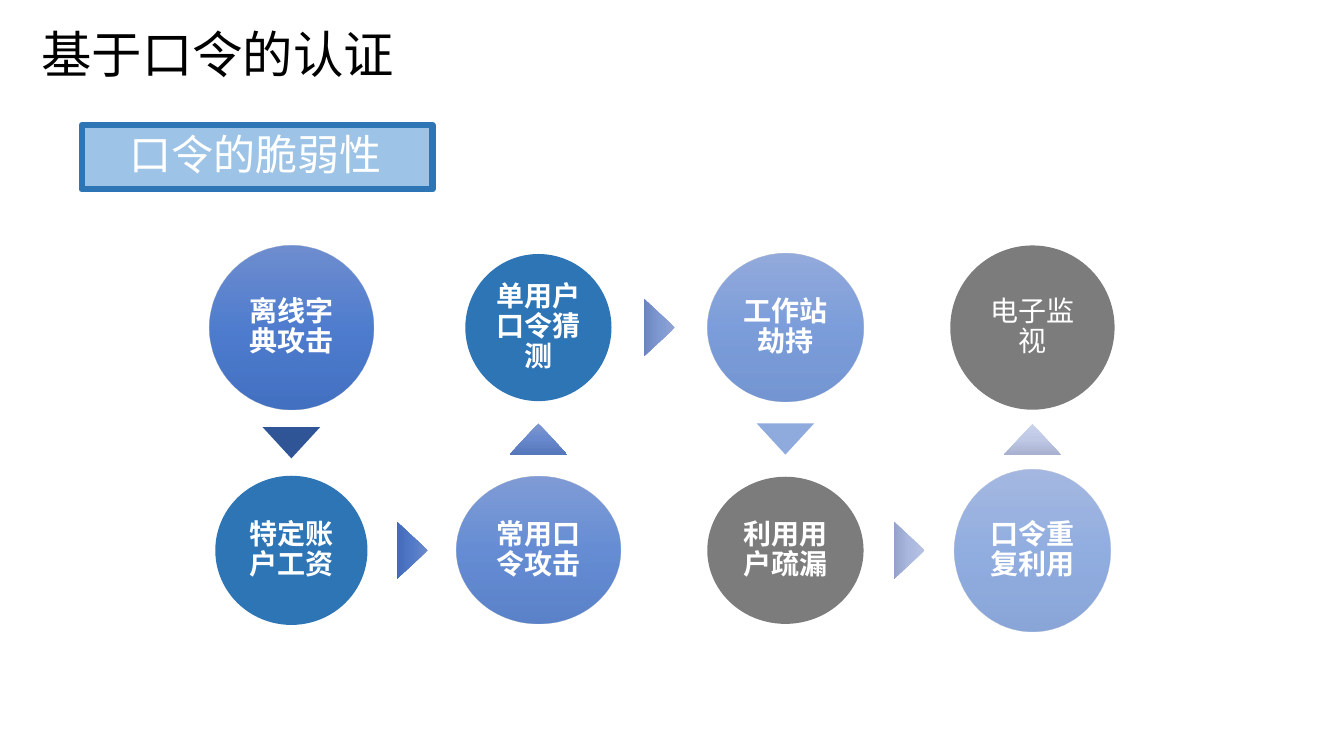
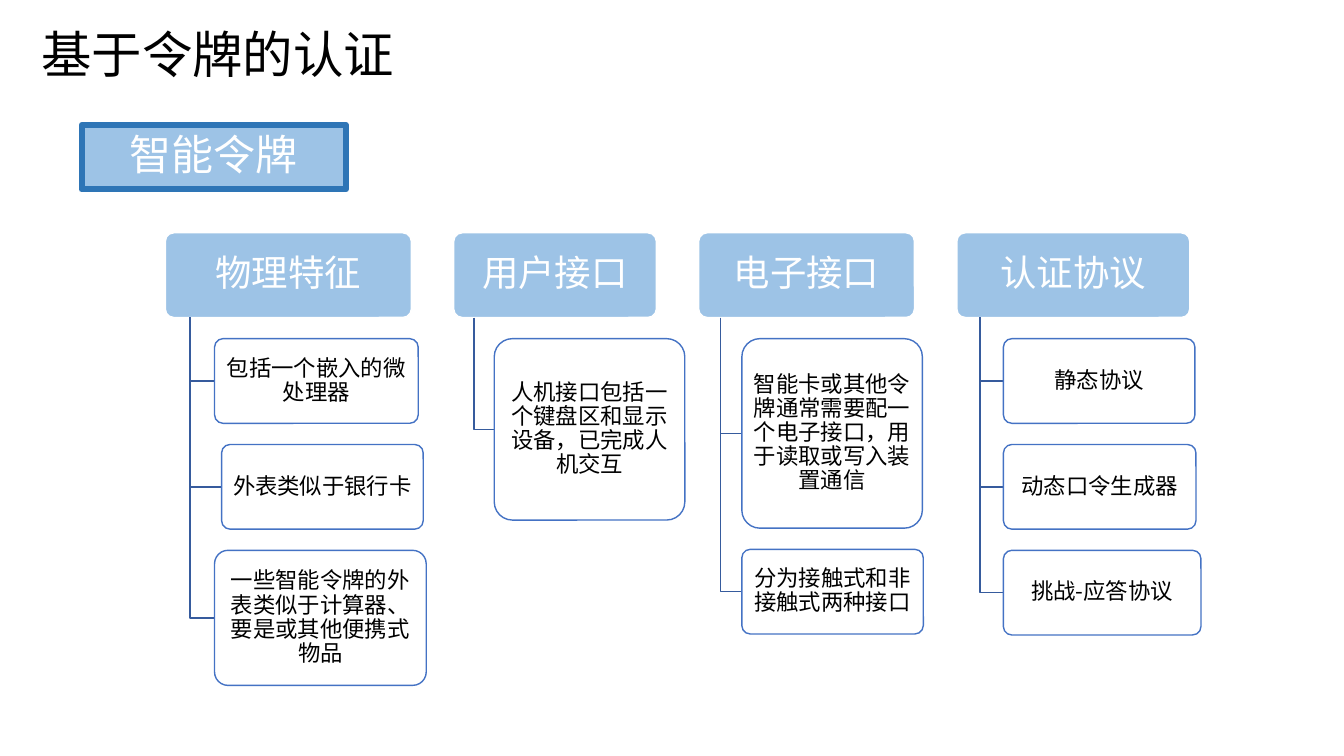
import itertools
from dataclasses import dataclass

import pptx
import pptx.dml.color
import pptx.enum.shapes
import pptx.enum.text
import pptx.oxml
import pptx.oxml.ns
import pptx.util
from lxml import etree

SHAPE = pptx.enum.shapes.MSO_SHAPE
ALIGN = pptx.enum.text.PP_ALIGN
Inches = pptx.util.Inches


@dataclass(frozen=True)
class Theme:
    font: str = "Noto Sans CJK SC"
    black: str = "000000"
    white: str = "FFFFFF"
    sky: str = "9DC3E6"
    blue: str = "2E75B6"
    gray: str = "7C7C7C"
    outline: str = "4472C4"
    branch: str = "365B9D"
    ball: tuple = ("6183CB", "3E70CA", "3062BB")
    title_size: int = 36
    label_size: int = 30
    head_size: int = 26
    ball_size: int = 20
    leaf_size: int = 16


THEME = Theme()

# Attacks in the order of the chain: text, width, height, fill (a number is the gradient's opacity)
ATTACKS = [
    ("离线字典攻击", 1.63, 1.63, 90),
    ("特定账户工资", 1.51, 1.48, THEME.blue),
    ("常用口令攻击", 1.62, 1.46, 79),
    ("单用户口令猜测", 1.45, 1.46, THEME.blue),
    ("工作站劫持", 1.55, 1.46, 67),
    ("利用用户疏漏", 1.55, 1.46, THEME.gray),
    ("口令重复利用", 1.54, 1.61, 56),
    ("电子监视", 1.63, 1.63, THEME.gray),
]
ARROW_FILLS = [
    "2F5597",
    ("6D8AC9", "5179C8", "426AB7"),
    ("7F97CF", "6888CD", "5777BB"),
    ("91A5D5", "7E98D2", "6C85BF"),
    "8FAADC",
    ("B7C2E2", "AAB8DF", "94A2C9"),
    ("CAD2E9", "BFC9E6", "A7B1CF"),
]
CHAIN_LEFT, CHAIN_PITCH = 2.89, 2.45
CHAIN_ROWS = (3.25, 5.46)
ARROW = (0.57, 0.31)

# Head, head width, then leaves: text, width, height, extra indent
TOKENS = [
    ("物理特征", 2.44, [
        ("包括一个嵌入的微处理器", 2.02, 0.84, 0),
        ("外表类似于银行卡", 2.0, 0.84, 0.07),
        ("一些智能令牌的外表类似于计算器、要是或其他便携式物品", 2.1, 1.34, 0),
    ]),
    ("用户接口", 2.01, [
        ("人机接口包括一个键盘区和显示设备，已完成人机交互", 1.89, 1.8, 0),
    ]),
    ("电子接口", 2.14, [
        ("智能卡或其他令牌通常需要配一个电子接口，用于读取或写入装置通信", 1.79, 1.88, 0),
        ("分为接触式和非接触式两种接口", 1.8, 0.84, 0),
    ]),
    ("认证协议", 2.31, [
        ("静态协议", 1.9, 0.84, 0),
        ("动态口令生成器", 1.91, 0.84, 0),
        ("挑战-应答协议", 1.96, 0.84, 0),
    ]),
]
TREE_LEFT, TREE_TOP, HEAD_HEIGHT = 1.64, 2.31, 0.84
HEAD_GAP, LEAF_GAP = 0.42, 0.21


def rgb(color):
    return pptx.dml.color.RGBColor.from_string(color)


def write(shape, text, size, color, insets, align=ALIGN.CENTER, bold=False, spacing=0.9):
    frame = shape.text_frame
    frame.word_wrap = True
    frame.auto_size = pptx.enum.text.MSO_AUTO_SIZE.NONE
    frame.vertical_anchor = pptx.enum.text.MSO_ANCHOR.MIDDLE
    frame.margin_left, frame.margin_top, frame.margin_right, frame.margin_bottom = map(Inches, insets)
    para = frame.paragraphs[0]
    para.text = text
    para.alignment = align
    para.line_spacing = spacing
    font = para.font
    font.size, font.bold, font.name = pptx.util.Pt(size), bold, THEME.font
    font.color.rgb = rgb(color)
    etree.SubElement(font._element, pptx.oxml.ns.qn("a:ea"), typeface=THEME.font)


def gradient(shape, colors, opacity=100):
    """Fill from top to bottom with three evenly spaced colours."""
    stops = "".join(
        f'<a:gs pos="{place * 50000}"><a:srgbClr val="{color}">'
        f'<a:alpha val="{opacity * 1000}"/></a:srgbClr></a:gs>'
        for place, color in enumerate(colors))
    fill = pptx.oxml.parse_xml(
        f'<a:gradFill {pptx.oxml.ns.nsdecls("a")} rotWithShape="1">'
        f'<a:gsLst>{stops}</a:gsLst><a:lin ang="5400000" scaled="0"/></a:gradFill>')
    shape.fill.background()
    empty = shape._element.spPr.find(pptx.oxml.ns.qn("a:noFill"))
    empty.getparent().replace(empty, fill)


def style(shape, fill=None, line=None, weight=1):
    shape.shadow.inherit = False
    if fill:
        shape.fill.solid()
        shape.fill.fore_color.rgb = rgb(fill)
    else:
        shape.fill.background()
    if line:
        shape.line.color.rgb = rgb(line)
        shape.line.width = pptx.util.Pt(weight)
    else:
        shape.line.fill.background()


def add_preset(page, kind, left, top, width, height, **look):
    shape = page.shapes.add_shape(kind, *map(Inches, (left, top, width, height)))
    style(shape, **look)
    return shape


def add_centred(page, kind, centre, size, fill, opacity=100):
    corner = [middle - length / 2 for middle, length in zip(centre, size)]
    plain = isinstance(fill, str)
    shape = add_preset(page, kind, *corner, *size, fill=fill if plain else None)
    if not plain:
        gradient(shape, fill, opacity)
    return shape


def add_card(page, box, text, size, color, insets, **look):
    card = add_preset(page, SHAPE.ROUNDED_RECTANGLE, *box, **look)
    card.adjustments[0] = 0.1
    write(card, text, size, color, insets)


def add_branch(page, x, top, middle, right):
    x, top, middle, right = map(Inches, (x, top, middle, right))
    builder = page.shapes.build_freeform(x, top)
    builder.add_line_segments([(x, middle), (right, middle)], close=False)
    style(builder.convert_to_shape(), line=THEME.branch)


def add_page(deck, title, label, label_width):
    page = deck.slides.add_slide(deck.slide_layouts[5])
    heading = page.shapes.title
    heading.left, heading.top, heading.width, heading.height = map(Inches, (0.3, 0, 5.91, 1.06))
    write(heading, title, THEME.title_size, THEME.black, (0.11, 0.06, 0.11, 0.06),
          ALIGN.LEFT, spacing=1.0)
    band = add_preset(page, SHAPE.RECTANGLE, 0.81, 1.24, label_width, 0.64,
                      fill=THEME.sky, line=THEME.blue, weight=4.33)
    write(band, label, THEME.label_size, THEME.white, (0.47, 0, 0.2, 0), ALIGN.LEFT)
    return page


def draw_chain(page):
    """Snake through the columns, with each arrow midway in the gap between two circles."""
    balls = []
    for index, (text, width, height, fill) in enumerate(ATTACKS):
        column, step = divmod(index, 2)
        row = step if column % 2 == 0 else 1 - step
        centre = (CHAIN_LEFT + column * CHAIN_PITCH, CHAIN_ROWS[row])
        look = (fill,) if isinstance(fill, str) else (THEME.ball, fill)
        ball = add_centred(page, SHAPE.OVAL, centre, (width, height), *look)
        write(ball, text, THEME.ball_size, THEME.white, (0.03,) * 4,
              bold=index < len(ATTACKS) - 1)
        balls.append((*centre, width, height))
    for (start, end), fill in zip(itertools.pairwise(balls), ARROW_FILLS):
        x, y, width, height = start
        next_x, next_y, next_width, next_height = end
        if next_x > x:
            turn = 90
            centre = ((x + width / 2 + next_x - next_width / 2) / 2, y)
        else:
            down = 1 if next_y > y else -1
            turn = 180 if down == 1 else 0
            centre = (x, (y + next_y + down * (height - next_height) / 2) / 2)
        add_centred(page, SHAPE.ISOSCELES_TRIANGLE, centre, ARROW, fill).rotation = turn


def draw_tree(page):
    left = TREE_LEFT
    head_bottom = TREE_TOP + HEAD_HEIGHT
    for head, head_width, leaves in TOKENS:
        add_card(page, (left, TREE_TOP, head_width, HEAD_HEIGHT), head, THEME.head_size,
                 THEME.white, (0.05, 0.04, 0.05, 0.04), fill=THEME.sky, line=THEME.white)
        top = head_bottom + LEAF_GAP
        for text, width, height, indent in leaves:
            leaf_left = left + head_width * 0.2 + indent
            add_branch(page, left + head_width * 0.1, head_bottom, top + height / 2, leaf_left)
            add_card(page, (leaf_left, top, width, height), text, THEME.leaf_size,
                     THEME.black, (0.03, 0.02, 0.03, 0.02), fill=THEME.white, line=THEME.outline)
            top += height + LEAF_GAP
        left += head_width + HEAD_GAP


def main():
    deck = pptx.Presentation()
    deck.slide_width, deck.slide_height = Inches(13.33), Inches(7.5)
    draw_chain(add_page(deck, "基于口令的认证", "口令的脆弱性", 3.48))
    draw_tree(add_page(deck, "基于令牌的认证", "智能令牌", 2.62))
    deck.save("out.pptx")


if __name__ == "__main__":
    main()
